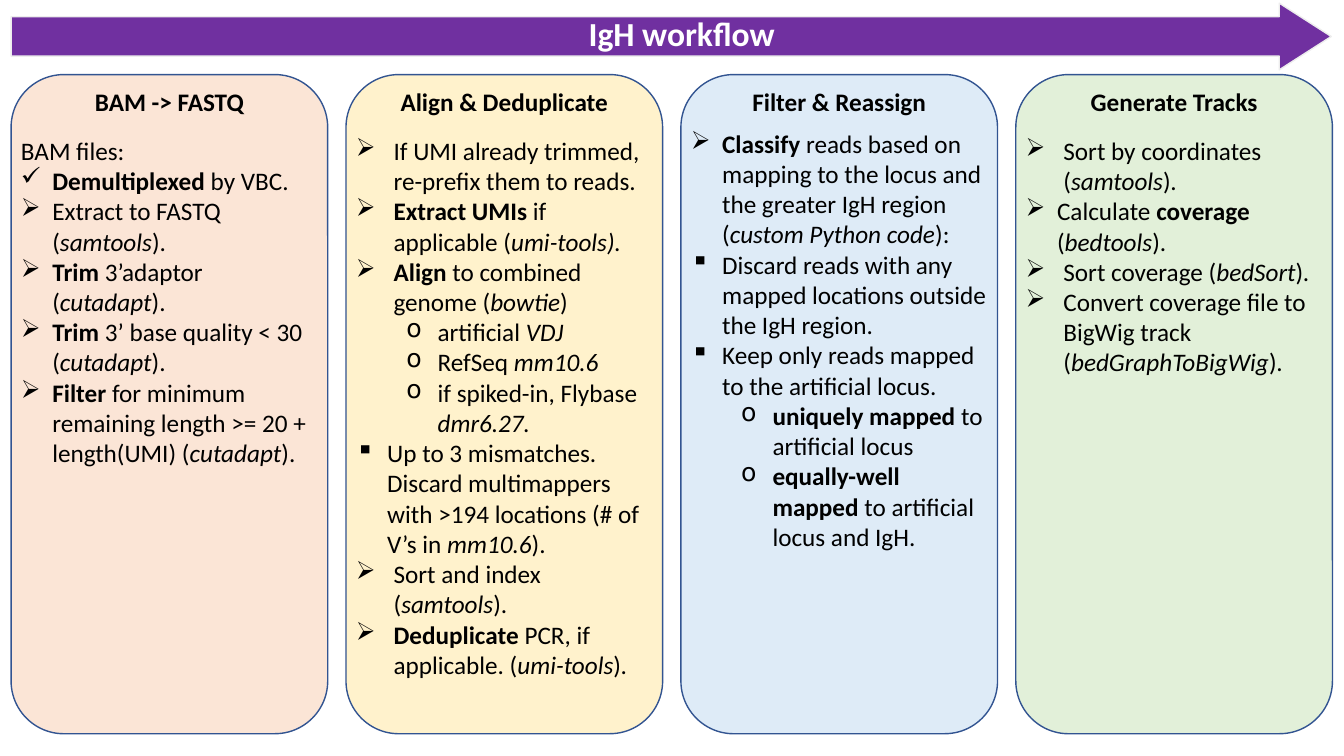
from lxml import etree
from pptx import Presentation
from pptx.dml.color import RGBColor
from pptx.enum.shapes import MSO_SHAPE
from pptx.enum.text import MSO_ANCHOR, MSO_AUTO_SIZE, PP_ALIGN
from pptx.oxml.ns import qn
from pptx.util import Cm, Pt

ARROW = MSO_SHAPE.RIGHT_ARROW
CARD = MSO_SHAPE.ROUNDED_RECTANGLE
GROW = MSO_AUTO_SIZE.SHAPE_TO_FIT_TEXT
TOP = MSO_ANCHOR.TOP
LEFT = PP_ALIGN.LEFT
CENTER = PP_ALIGN.CENTER

COLORS = {
    "purple": "7030A0",
    "silver": "EDEDED",
    "navy": "325491",
    "peach": "FBE5D6",
    "yellow": "FFF2CC",
    "blue": "DEEBF7",
    "green": "E2F0D9",
    "black": "000000",
    "white": "FFFFFF",
}

INDENTS = {
    "plain": (0, 0, 0),
    "near": (0, 0.79, 0.79),
    "wide": (0, 0.95, 0.95),
    "sub": (1, 2.06, 0.79),
}

CARD_LEFT, CARD_TOP = 0.28, 1.88
CARD_WIDTH, CARD_HEIGHT = 7.98, 16.61
CARD_PITCH = 8.44
HEADING_TOP, HEADING_HEIGHT = 2.06, 1.02

# Stage text uses *bold* and _italic_ marks.
STAGES = [
    ("BAM -> FASTQ", 4.32, "peach", 3.28, 8.71, [
        ("plain", "", "BAM files:"),
        ("near", "✓", "*Demultiplexed* by VBC."),
        ("near", "➢", "Extract to FASTQ (_samtools_)."),
        ("near", "➢", "*Trim* 3’adaptor (_cutadapt_)."),
        ("near", "➢", "*Trim* 3’ base quality < 30 (_cutadapt_)."),
        ("near", "➢", "*Filter* for minimum remaining length >= 20 + length(UMI) (_cutadapt_)."),
    ]),
    ("Align & Deduplicate", 5.77, "yellow", 3.28, 14.1, [
        ("wide", "➢", "If UMI already trimmed, re-prefix them to reads."),
        ("wide", "➢", "*Extract UMIs* if applicable (_umi-tools)._"),
        ("wide", "➢", "*Align* to combined genome (_bowtie_)"),
        ("sub", "o", "artificial _VDJ_"),
        ("sub", "o", "RefSeq _mm10.6_"),
        ("sub", "o", "if spiked-in, Flybase _dmr6.27._"),
        ("near", "▪", "Up to 3 mismatches. Discard multimappers with >194 locations "
                      "(# of V’s in _mm10.6_)."),
        ("wide", "➢", "Sort and index (_samtools_)."),
        ("wide", "➢", "*Deduplicate* PCR, if applicable. (_umi-tools_)_._"),
    ]),
    ("Filter & Reassign", 4.93, "blue", 3.1, 11.02, [
        ("near", "➢", "*Classify* reads based on mapping to the locus and "
                      "the greater IgH region (_custom Python code_):"),
        ("near", "▪", "Discard reads with any mapped locations outside the IgH region."),
        ("near", "▪", "Keep only reads mapped to the artificial locus."),
        ("sub", "o", "*uniquely mapped* to artificial locus"),
        ("sub", "o", "*equally-well mapped* to artificial locus and IgH."),
    ]),
    ("Generate Tracks", 4.75, "green", 3.28, 6.4, [
        ("wide", "➢", "Sort by coordinates (_samtools_)_._"),
        ("near", "➢", "Calculate *coverage* (_bedtools_)."),
        ("wide", "➢", "Sort coverage (_bedSort_)_._"),
        ("wide", "➢", "Convert coverage file to BigWig track (_bedGraphToBigWig_)_._"),
    ]),
]


def set_attributes(target, values):
    for name, value in values.items():
        setattr(target, name, value)


def split_marks(text):
    for bold_index, part in enumerate(text.split("*")):
        for italic_index, piece in enumerate(part.split("_")):
            if piece:
                yield piece, bold_index % 2 == 1, italic_index % 2 == 1


class SlideBuilder:
    font_name = "Calibri"

    def __init__(self, slide):
        self.slide = slide

    def color(self, name):
        return RGBColor.from_string(COLORS[name])

    def shape(self, kind, box, fill, line, adjustments=()):
        shape = self.slide.shapes.add_shape(kind, *map(Cm, box))
        shape.shadow.inherit = False
        shape.fill.solid()
        shape.fill.fore_color.rgb = self.color(fill)
        shape.line.color.rgb = self.color(line)
        shape.line.width = Pt(1)
        for index, value in enumerate(adjustments):
            shape.adjustments[index] = value
        return shape

    def frame(self, shape, wrap):
        frame = shape.text_frame
        set_attributes(frame, {
            "word_wrap": wrap, "auto_size": GROW, "vertical_anchor": TOP,
        })
        return frame

    def run(self, paragraph, text, size, color, bold, italic=False):
        run = paragraph.add_run()
        run.text = text
        set_attributes(run.font, {
            "name": self.font_name, "size": Pt(size), "bold": bold, "italic": italic,
        })
        run.font.color.rgb = self.color(color)

    def title(self, text, box, behind):
        title = self.slide.shapes.title
        set_attributes(title, dict(zip(("left", "top", "width", "height"), map(Cm, box))))
        behind.element.addnext(title.element)
        paragraph = self.frame(title, False).paragraphs[0]
        paragraph.alignment = CENTER
        self.run(paragraph, text, 24, "white", True)

    def heading(self, text, box):
        shape = self.slide.shapes.add_textbox(*map(Cm, box))
        paragraph = self.frame(shape, False).paragraphs[0]
        paragraph.alignment = CENTER
        self.run(paragraph, text, 18, "black", True)

    def steps(self, items, box):
        shape = self.slide.shapes.add_textbox(*map(Cm, box))
        frame = self.frame(shape, True)
        for index, (indent, bullet, text) in enumerate(items):
            paragraph = frame.add_paragraph() if index else frame.paragraphs[0]
            paragraph.alignment = LEFT
            self.bullet(paragraph, indent, bullet)
            for piece, bold, italic in split_marks(text):
                self.run(paragraph, piece, 18, "black", bold, italic)

    def bullet(self, paragraph, indent, character):
        level, margin, hanging = INDENTS[indent]
        paragraph.level = level
        if character:
            properties = paragraph._p.get_or_add_pPr()
            properties.set("marL", str(Cm(margin)))
            properties.set("indent", str(-Cm(hanging)))
            etree.SubElement(properties, qn("a:buChar")).set("char", character)


def main():
    presentation = Presentation()
    presentation.slide_width = Cm(33.87)
    presentation.slide_height = Cm(19.05)
    slide = presentation.slides.add_slide(presentation.slide_layouts[5])
    builder = SlideBuilder(slide)

    arrow = builder.shape(ARROW, (0.28, 0.08, 33.27, 1.68), "purple", "silver", (0.59, 0.78))
    builder.title("IgH workflow", (14.55, 0.2, 5.26, 1.27), arrow)

    for index, (heading, heading_width, fill, top, height, items) in enumerate(STAGES):
        left = CARD_LEFT + index * CARD_PITCH
        heading_left = left + (CARD_WIDTH - heading_width) / 2
        builder.shape(CARD, (left, CARD_TOP, CARD_WIDTH, CARD_HEIGHT), fill, "navy")
        builder.heading(heading, (heading_left, HEADING_TOP, heading_width, HEADING_HEIGHT))
        builder.steps(items, (left, top, CARD_WIDTH, height))

    presentation.save("out.pptx")


if __name__ == "__main__":
    main()
